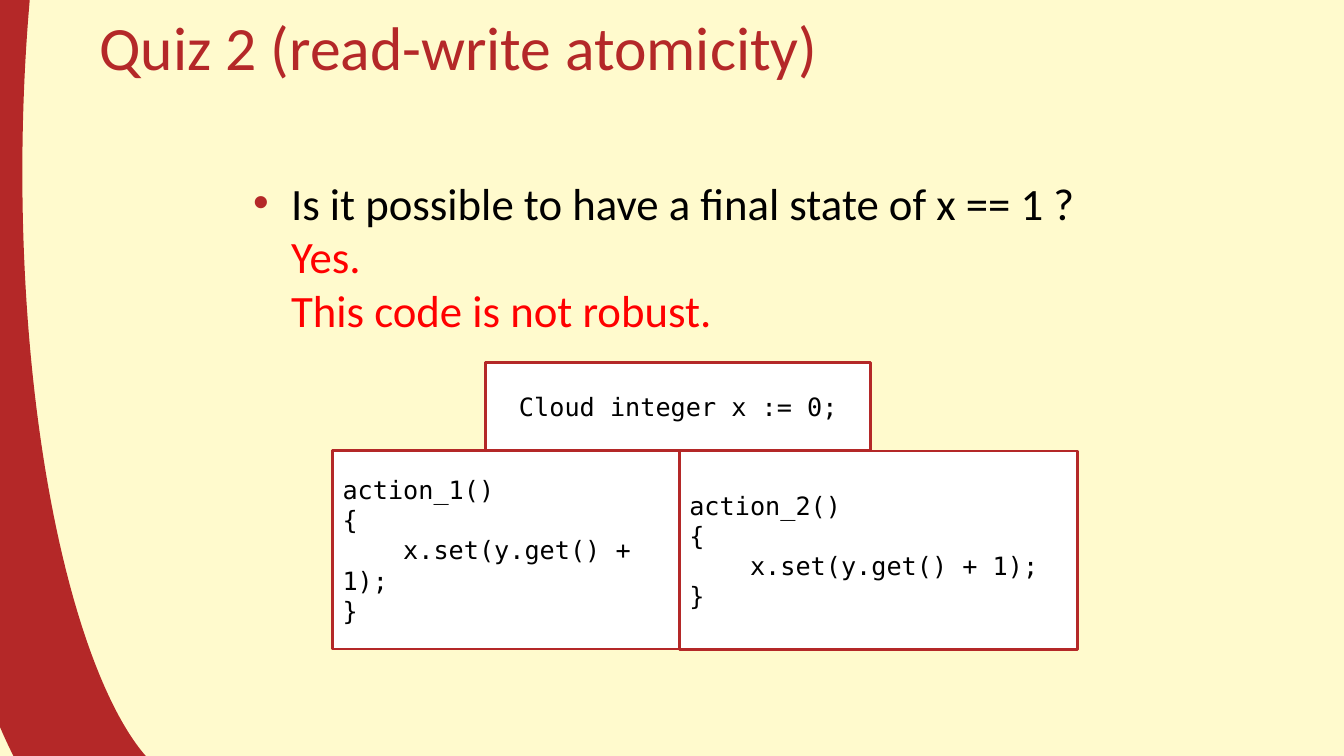
from lxml import etree
from pptx import Presentation
from pptx.dml.color import RGBColor
from pptx.enum.shapes import MSO_SHAPE
from pptx.enum.text import MSO_ANCHOR, PP_ALIGN
from pptx.oxml.ns import qn
from pptx.util import Pt

ARC, RECTANGLE = MSO_SHAPE.ARC, MSO_SHAPE.RECTANGLE
TOP, MIDDLE = MSO_ANCHOR.TOP, MSO_ANCHOR.MIDDLE
LEFT, CENTER = PP_ALIGN.LEFT, PP_ALIGN.CENTER

COLORS = {"cream": "FFFACD", "crimson": "B42828", "red": "FF0000",
          "black": "000000", "white": "FFFFFF"}
FORMATS = {
    "title": {"name": "Calibri", "size": Pt(44)},
    "body": {"name": "Calibri", "size": Pt(32)},
    "code": {"name": "DejaVu Sans Mono", "size": Pt(18)},
}


def color(name):
    return RGBColor.from_string(COLORS[name])


class QuizPage:
    def __init__(self, deck):
        self.page = deck.slides.add_slide(deck.slide_layouts[6])
        fill = self.page.background.fill
        fill.solid()
        fill.fore_color.rgb = color("cream")

    def span(self, para, text, style, tint):
        for index, line in enumerate(text.split("\n")):
            if index:
                para.add_line_break()
            if line:
                span = para.add_run()
                span.text = line
                for key, value in FORMATS[style].items():
                    setattr(span.font, key, value)
                span.font.color.rgb = color(tint)

    def frame(self, box, anchor):
        for key, value in {"word_wrap": True, "vertical_anchor": anchor}.items():
            setattr(box.text_frame, key, value)
        return box.text_frame

    def shape(self, kind, place, width):
        box = self.page.shapes.add_shape(kind, *map(Pt, place))
        box.shadow.inherit = False
        box.line.color.rgb = color("crimson")
        box.line.width = Pt(width)
        return box

    def swoosh(self, place, adjustments):
        arc = self.shape(ARC, place, 80)
        arc.fill.background()
        for index, adjustment in enumerate(adjustments):
            arc.adjustments[index] = adjustment
        arc.element.spPr.find(qn("a:xfrm")).set("flipH", "1")

    def text(self, place, spans, style, anchor=TOP, bullet=False):
        box = self.page.shapes.add_textbox(*map(Pt, place))
        para = self.frame(box, anchor).paragraphs[0]
        if bullet:
            self.bullet(para)
        for text, tint in spans:
            self.span(para, text, style, tint)

    def bullet(self, para):
        properties = para._p.get_or_add_pPr()
        properties.set("marL", str(Pt(27)))
        properties.set("indent", str(-Pt(27)))
        tint = etree.SubElement(properties, qn("a:buClr"))
        etree.SubElement(tint, qn("a:srgbClr"), val=COLORS["crimson"])
        etree.SubElement(properties, qn("a:buFont"), typeface="Arial")
        etree.SubElement(properties, qn("a:buChar"), char="•")

    def code(self, place, lines, align=LEFT):
        box = self.shape(RECTANGLE, place, 2)
        box.fill.solid()
        box.fill.fore_color.rgb = color("white")
        frame = self.frame(box, MIDDLE)
        for index, line in enumerate(lines):
            para = frame.add_paragraph() if index else frame.paragraphs[0]
            para.alignment = align
            self.span(para, line, "code", "black")


def main():
    deck = Presentation()
    deck.slide_width, deck.slide_height = Pt(960), Pt(540)
    quiz = QuizPage(deck)
    quiz.swoosh((-24, -348, 296, 942), (177.67, 55.34))
    quiz.text((64, -12, 864, 90), [("Quiz 2 (read-write atomicity)", "crimson")],
              "title", MIDDLE)
    quiz.text((173.8, 121.7, 648, 364),
              [("Is it possible to have a final state of x == 1 ?\n", "black"),
               ("Yes.\nThis code is not robust.", "red")], "body", bullet=True)
    actions = [("action_1()", (237.6, 321.8, 247.7, 141.8)),
               ("action_2()", (485.3, 322.2, 284.4, 141.8))]
    for header, place in actions:
        quiz.code(place, [header, "{", "    x.set(y.get() + 1);", "}"])
    quiz.code((347, 259.2, 275, 62.6), ["Cloud integer x := 0;"], CENTER)
    deck.save("out.pptx")


if __name__ == "__main__":
    main()
